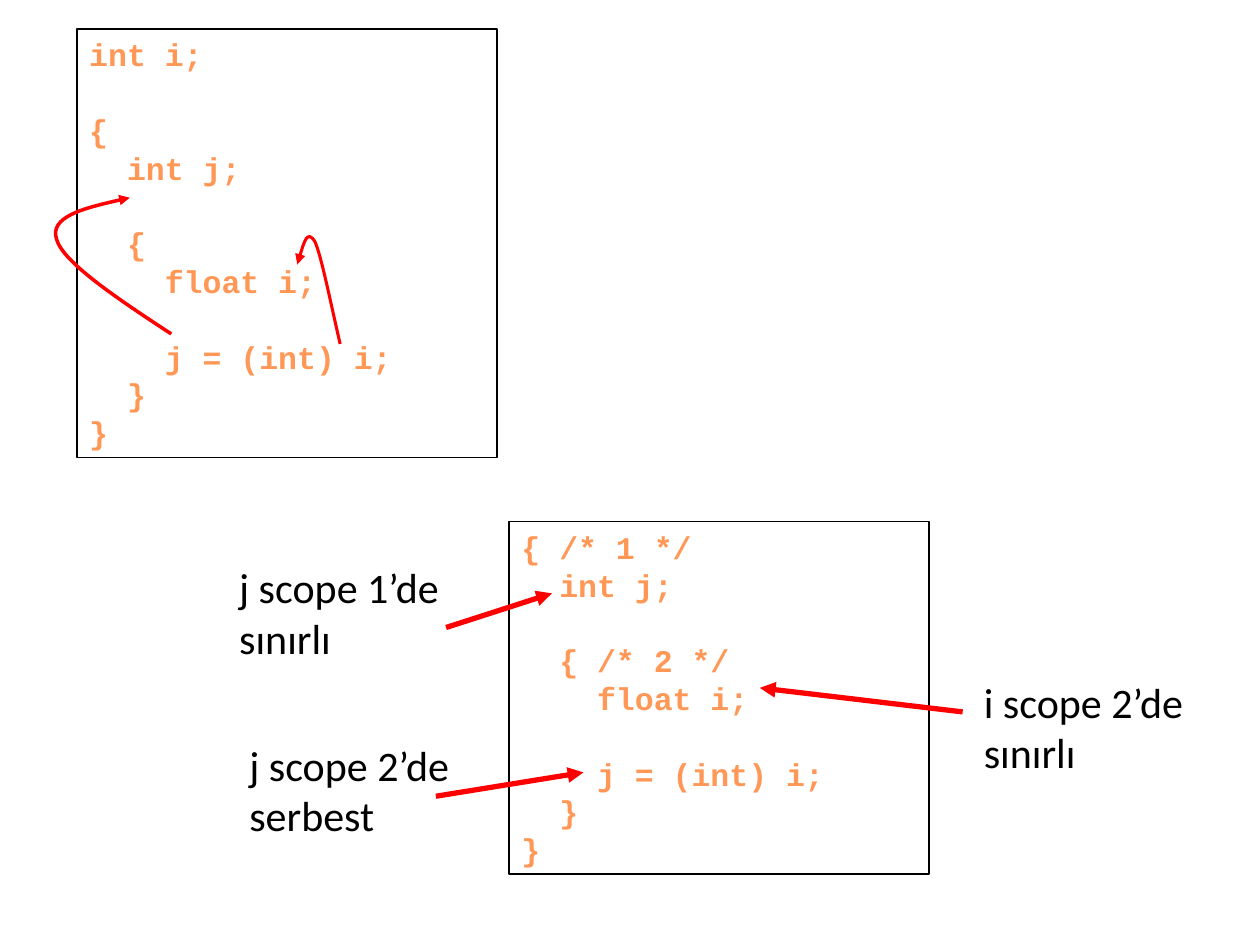
from pptx import Presentation
from pptx.dml.color import RGBColor
from pptx.enum.shapes import MSO_CONNECTOR, MSO_SHAPE
from pptx.enum.text import MSO_ANCHOR, MSO_AUTO_SIZE, PP_ALIGN
from pptx.oxml.ns import qn
from pptx.oxml.xmlchemy import OxmlElement
from pptx.util import Pt

STRAIGHT = MSO_CONNECTOR.STRAIGHT
RECTANGLE = MSO_SHAPE.RECTANGLE
TOP = MSO_ANCHOR.TOP
FIT_SHAPE = MSO_AUTO_SIZE.SHAPE_TO_FIT_TEXT
LEFT = PP_ALIGN.LEFT

CODE_FORMAT = {"name": "Courier New", "size": Pt(18), "bold": True}
NOTE_FORMAT = {"name": "Calibri", "size": Pt(24)}
CODE_LINE = 21.6
BLACK, RED, ORANGE = "000000", "FF0000", "FF9856"

NESTED_BLOCKS = """int i;

{
  int j;

  {
    float i;

    j = (int) i;
  }
}"""

NUMBERED_SCOPES = """{ /* 1 */
  int j;

  { /* 2 */
    float i;

    j = (int) i;
  }
}"""

NOTES = [
    (555.1, 383, 134.6, "i scope 2’de\nsınırlı"),
    (135.4, 419, 134.6, "j scope 2’de\nserbest"),
    (129.6, 317.5, 129.6, "j scope 1’de\nsınırlı"),
]

NOTE_ARROWS = [
    ((550.1, 406.8), (434.2, 393.1)),
    ((249.1, 455), (333.4, 441.4)),
    ((254.9, 358.6), (315.4, 339.1)),
]

REFERENCE_CURVES = [
    (2, [(97.9, 190.8), (67, 170.6), (36, 149.8), (32.4, 136.8),
         (28.1, 123.8), (51.1, 118.1), (74.2, 113)]),
    (1.75, [(194.4, 196.6), (188.6, 171.4), (183.6, 146.2), (180, 138.2),
            (175.7, 131), (172.8, 141.1), (169.9, 151.2)]),
]


def color(hex_value):
    return RGBColor.from_string(hex_value)


def style_line(line, hex_value, width):
    line.color.rgb = color(hex_value)
    line.width = Pt(width)


def add_arrowhead(line):
    head = OxmlElement("a:tailEnd")
    head.set("type", "triangle")
    line._get_or_add_ln().append(head)


def write_lines(frame, text, font_format, hex_value, wrap):
    frame.word_wrap = wrap
    frame.auto_size = FIT_SHAPE
    frame.vertical_anchor = TOP
    gap = 0
    paragraph = frame.paragraphs[0]
    for index, line in enumerate(text.split("\n")):
        if not line:
            gap = CODE_LINE
            continue
        if index:
            paragraph = frame.add_paragraph()
        paragraph.alignment = LEFT
        if gap:
            paragraph.space_before = Pt(gap)
            gap = 0
        run = paragraph.add_run()
        run.text = line
        for attribute, value in font_format.items():
            setattr(run.font, attribute, value)
        run.font.color.rgb = color(hex_value)


def add_code(slide, left, top, height, code):
    listing = slide.shapes.add_shape(
        RECTANGLE, Pt(left), Pt(top), Pt(240), Pt(height))
    listing.shadow.inherit = False
    listing.fill.background()
    style_line(listing.line, BLACK, 1)
    write_lines(listing.text_frame, code, CODE_FORMAT, ORANGE, True)


def add_note(slide, left, top, width, text):
    note = slide.shapes.add_textbox(Pt(left), Pt(top), Pt(width), Pt(65.5))
    write_lines(note.text_frame, text, NOTE_FORMAT, BLACK, False)


def add_note_arrow(slide, start, end):
    arrow = slide.shapes.add_connector(
        STRAIGHT, *(Pt(value) for value in start + end))
    style_line(arrow.line, RED, 3)
    add_arrowhead(arrow.line)
    arrow._element.spPr.append(OxmlElement("a:effectLst"))


def add_reference_curve(slide, width, points):
    start, *rest = [(Pt(x), Pt(y)) for x, y in points]
    builder = slide.shapes.build_freeform(*start)
    builder.add_line_segments(rest, close=False)
    curve = builder.convert_to_shape()
    segments = list(curve._element.iter(qn("a:lnTo")))
    for first in range(0, len(segments), 3):
        bezier = OxmlElement("a:cubicBezTo")
        segments[first].addprevious(bezier)
        for segment in segments[first:first + 3]:
            bezier.append(segment[0])
            segment.getparent().remove(segment)
    curve.shadow.inherit = False
    curve.fill.background()
    style_line(curve.line, RED, width)
    add_arrowhead(curve.line)


def main():
    deck = Presentation()
    deck.slide_width, deck.slide_height = Pt(720), Pt(540)
    slide = deck.slides.add_slide(deck.slide_layouts[6])
    add_code(slide, 43.9, 16.6, 244.8, NESTED_BLOCKS)
    for width, points in REFERENCE_CURVES:
        add_reference_curve(slide, width, points)
    add_code(slide, 290.9, 298.1, 201.6, NUMBERED_SCOPES)
    for note in NOTES:
        add_note(slide, *note)
    for start, end in NOTE_ARROWS:
        add_note_arrow(slide, start, end)
    deck.save("out.pptx")


if __name__ == "__main__":
    main()
